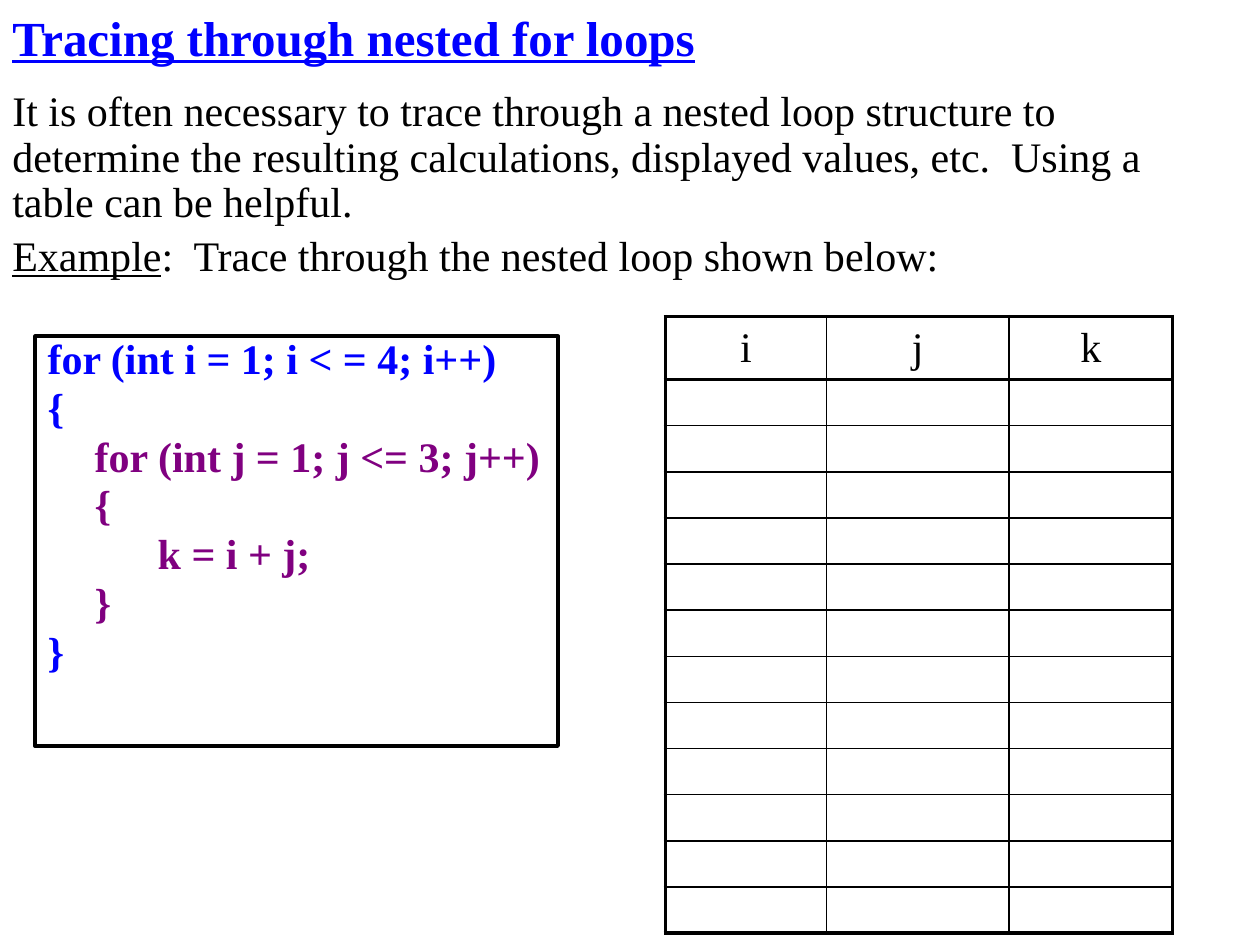
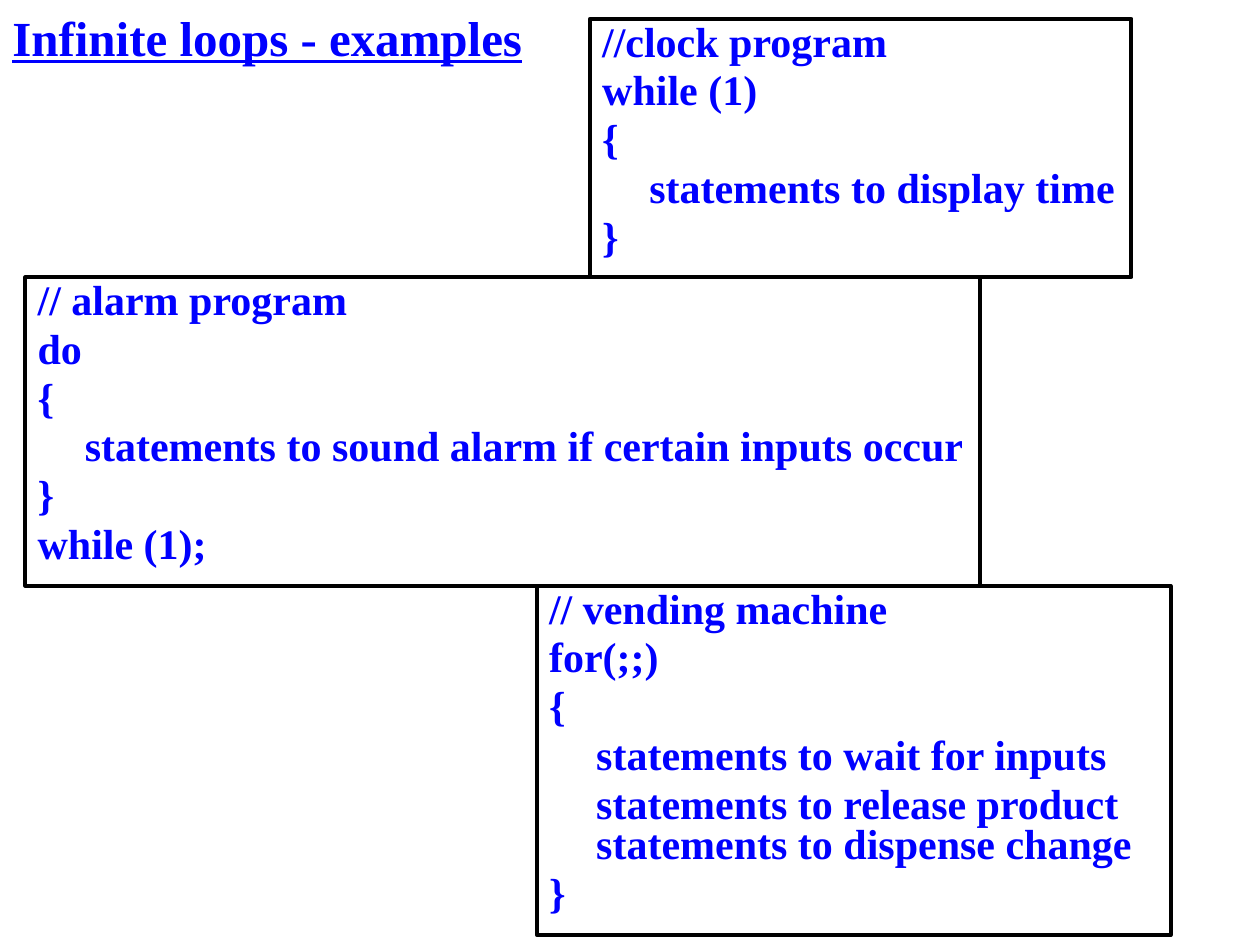
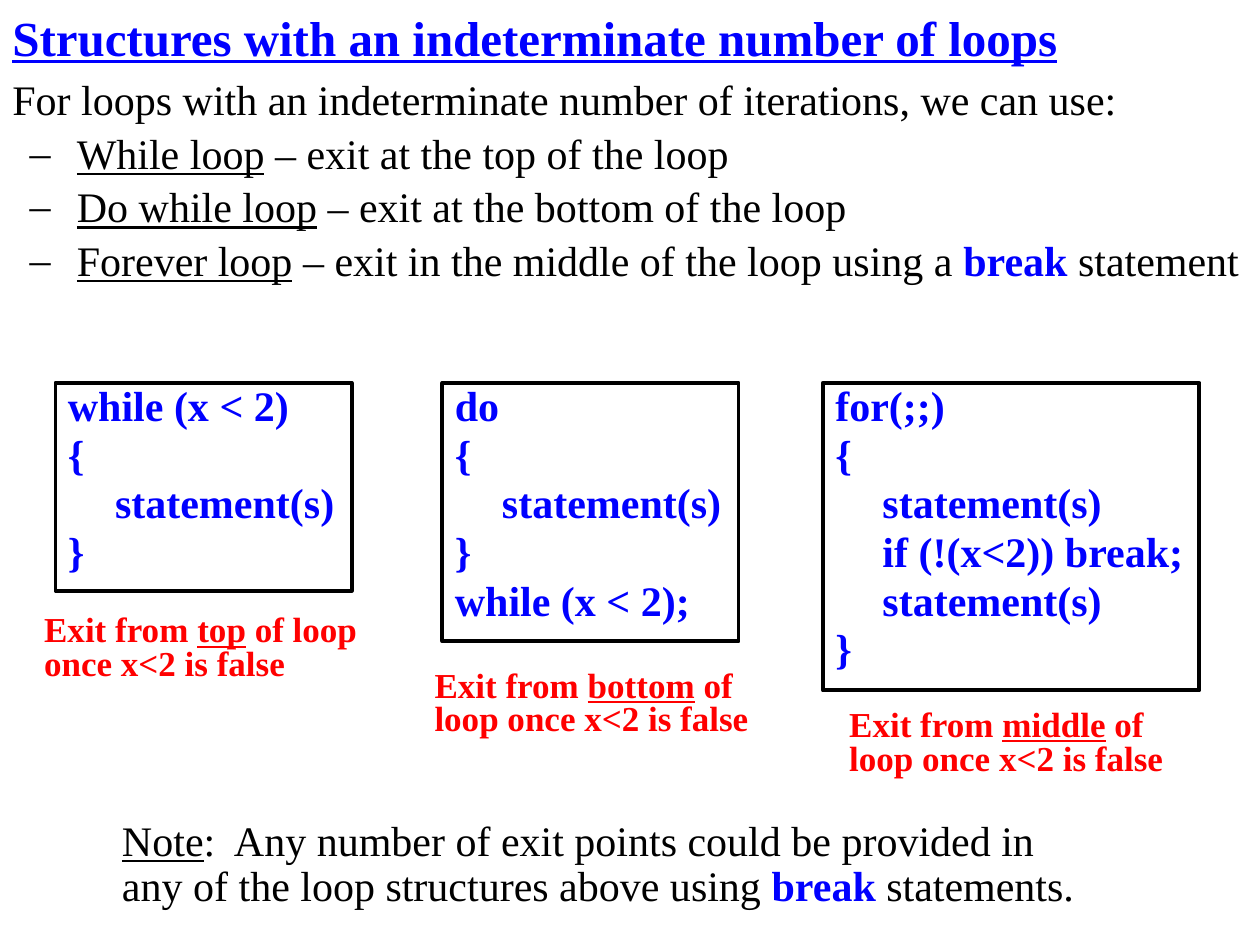
from dataclasses import dataclass

import pptx
import pptx.dml.color
import pptx.enum.shapes
import pptx.enum.text
import pptx.oxml
import pptx.oxml.ns
import pptx.slide
import pptx.table
import pptx.text.text
import pptx.util

Cm = pptx.util.Cm
Pt = pptx.util.Pt
RGB = pptx.dml.color.RGBColor
ANCHOR = pptx.enum.text.MSO_ANCHOR


@dataclass(frozen=True)
class Theme:
    font: str = "Times New Roman"
    ink: RGB = RGB(0x00, 0x00, 0x00)
    blue: RGB = RGB(0x00, 0x00, 0xFF)
    purple: RGB = RGB(0x80, 0x00, 0x80)
    red: RGB = RGB(0xFF, 0x00, 0x00)
    title_size: int = 28
    text_size: int = 24
    caption_size: int = 20
    thick: float = 2.25
    thin: float = 1
    code_indent: float = 0.95
    bullet_left: float = 1.3


THEME = Theme()


@dataclass(frozen=True)
class Box:
    left: float
    top: float
    width: float
    height: float

    def lengths(self) -> tuple:
        return Cm(self.left), Cm(self.top), Cm(self.width), Cm(self.height)


@dataclass(frozen=True)
class Style:
    size: int
    color: RGB
    bold: bool = False
    underline: bool = False
    line_spacing: float = 1.0
    space_share: float = 0.2


@dataclass(frozen=True)
class Span:
    text: str
    underline: bool = False
    keyword: bool = False


@dataclass(frozen=True)
class Line:
    spans: tuple[Span, ...]
    bullet: bool = False


@dataclass(frozen=True)
class CodeBox:
    box: Box
    lines: tuple[str, ...]
    inner: range = range(0)  # lines that belong to the inner loop


@dataclass(frozen=True)
class Caption:
    box: Box
    place: str


TITLE = Style(THEME.title_size, THEME.blue, bold=True, underline=True, space_share=0)
BODY = Style(THEME.text_size, THEME.ink, line_spacing=0.9)
CELL = Style(THEME.text_size, THEME.ink)
CODE = Style(THEME.text_size, THEME.blue, bold=True, line_spacing=0.8)
INNER_CODE = Style(THEME.text_size, THEME.purple, bold=True, line_spacing=0.8)
CAPTION = Style(THEME.caption_size, THEME.red, bold=True, line_spacing=0.8)


# Text helpers
def apply_style(paragraph: pptx.text.text._Paragraph, style: Style) -> None:
    font = paragraph.font
    font.name, font.size = THEME.font, Pt(style.size)
    font.bold, font.underline = style.bold, style.underline
    font.color.rgb = style.color
    paragraph.line_spacing = style.line_spacing
    paragraph.space_before = Pt(style.size * style.space_share)


def set_indent(paragraph: pptx.text.text._Paragraph, left: float, hanging: float) -> None:
    properties = paragraph._p.get_or_add_pPr()
    properties.set("marL", str(Cm(left)))
    properties.set("indent", str(-Cm(hanging)))


def add_dash(paragraph: pptx.text.text._Paragraph) -> None:
    set_indent(paragraph, THEME.bullet_left, THEME.code_indent)
    paragraph.level = 1
    namespace = pptx.oxml.ns.nsdecls("a")
    # Bullet marks stand before the default run properties
    defaults = paragraph._p.pPr.find(pptx.oxml.ns.qn("a:defRPr"))
    for mark in (f'<a:buFont {namespace} typeface="{THEME.font}"/>',
                 f'<a:buChar {namespace} char="–"/>'):
        defaults.addprevious(pptx.oxml.parse_xml(mark))


def next_paragraph(frame: pptx.text.text.TextFrame, index: int) -> pptx.text.text._Paragraph:
    return frame.add_paragraph() if index else frame.paragraphs[0]


def add_text(slide: pptx.slide.Slide, box: Box, lines: list[Line], style: Style,
             anchor: ANCHOR = ANCHOR.TOP) -> None:
    frame = slide.shapes.add_textbox(*box.lengths()).text_frame
    frame.word_wrap = True
    frame.vertical_anchor = anchor
    for index, line in enumerate(lines):
        paragraph = next_paragraph(frame, index)
        apply_style(paragraph, style)
        if line.bullet:
            add_dash(paragraph)
        for span in line.spans:
            run = paragraph.add_run()
            run.text = span.text
            if span.underline:
                run.font.underline = True
            if span.keyword:
                run.font.bold = True
                run.font.color.rgb = THEME.blue


def add_title(slide: pptx.slide.Slide, text: str, width: float) -> None:
    add_text(slide, Box(0, 0, width, 1.47), [Line((Span(text),))], TITLE, ANCHOR.MIDDLE)


def add_code(slide: pptx.slide.Slide, code: CodeBox) -> None:
    shape = slide.shapes.add_shape(pptx.enum.shapes.MSO_SHAPE.RECTANGLE, *code.box.lengths())
    shape.shadow.inherit = False
    shape.fill.background()
    shape.line.color.rgb = THEME.ink
    shape.line.width = Pt(THEME.thick)
    frame = shape.text_frame
    frame.word_wrap = True
    frame.vertical_anchor = ANCHOR.TOP
    frame.margin_right = 0
    for index, text in enumerate(code.lines):
        paragraph = next_paragraph(frame, index)
        paragraph.text = text
        paragraph.alignment = pptx.enum.text.PP_ALIGN.LEFT
        apply_style(paragraph, INNER_CODE if index in code.inner else CODE)
        set_indent(paragraph, THEME.code_indent, THEME.code_indent)


# Trace table
def set_borders(cell: pptx.table._Cell, widths: dict[str, float]) -> None:
    properties = cell._tc.get_or_add_tcPr()
    for side, width in widths.items():
        properties.append(pptx.oxml.parse_xml(
            f'<a:ln{side} {pptx.oxml.ns.nsdecls("a")} w="{Pt(width)}">'
            f'<a:solidFill><a:srgbClr val="{THEME.ink}"/></a:solidFill></a:ln{side}>'))


def add_trace_table(slide: pptx.slide.Slide, headings: str, blank_rows: int) -> None:
    column_widths, header_height, row_height = (3.25, 3.68, 3.3), 1.27, 0.93
    box = Box(13.41, 6.38, sum(column_widths), header_height + blank_rows * row_height)
    last_row, last_column = blank_rows, len(headings) - 1
    table = slide.shapes.add_table(last_row + 1, last_column + 1, *box.lengths()).table
    table.first_row = table.horz_banding = False
    for column, width in zip(table.columns, column_widths):
        column.width = Cm(width)
    for row_index, row in enumerate(table.rows):
        row.height = Cm(row_height if row_index else header_height)
        for column_index, cell in enumerate(row.cells):
            thick_sides = {"L": column_index == 0, "R": column_index == last_column,
                           "T": row_index <= 1, "B": row_index in (0, last_row)}
            set_borders(cell, {side: THEME.thick if thick else THEME.thin
                               for side, thick in thick_sides.items()})
            cell.fill.background()
            cell.margin_top = cell.margin_bottom = 0
            if row_index == 0:
                cell.vertical_anchor = ANCHOR.MIDDLE
                paragraph = cell.text_frame.paragraphs[0]
                paragraph.text = headings[column_index]
                paragraph.alignment = pptx.enum.text.PP_ALIGN.CENTER
                apply_style(paragraph, CELL)


# Slides
def build_tracing(slide: pptx.slide.Slide) -> None:
    add_text(slide, Box(0, 1.7, 25, 4.11), [
        Line((Span("It is often necessary to trace through a nested loop structure to "
                   "determine the resulting calculations, displayed values, etc.  "
                   "Using a table can be helpful."),)),
        Line((Span("Example", underline=True),
              Span(":  Trace through the nested loop shown below:"))),
    ], BODY)
    add_title(slide, "Tracing through nested for loops", 15.47)
    add_code(slide, CodeBox(Box(0.71, 6.78, 10.54, 8.26), (
        "for (int i = 1; i < = 4; i++)", "{", "\tfor (int j = 1; j <= 3; j++)", "\t{",
        "\t\tk = i + j;", "\t}", "}"), inner=range(2, 6)))
    add_trace_table(slide, "ijk", blank_rows=12)


def build_infinite(slide: pptx.slide.Slide) -> None:
    add_title(slide, "Infinite loops - examples", 17.75)
    for code in (
        CodeBox(Box(11.89, 0.38, 10.92, 5.21), (
            "//clock program", "while (1)", "{", "\tstatements to display time", "}")),
        CodeBox(Box(0.51, 5.59, 19.25, 6.22), (
            "// alarm program", "do", "{",
            "\tstatements to sound alarm if certain inputs occur", "}", "while (1);")),
        CodeBox(Box(10.82, 11.81, 12.78, 7.04), (
            "// vending machine", "for(;;)", "{", "\tstatements to wait for inputs",
            "\tstatements to release product statements to dispense change", "}")),
    ):
        add_code(slide, code)


def build_indeterminate(slide: pptx.slide.Slide) -> None:
    keyword = Span("break", keyword=True)
    add_title(slide, "Structures with an indeterminate number of loops", 25.4)
    add_text(slide, Box(0, 1.47, 25.4, 4.57), [
        Line((Span("For loops with an indeterminate number of iterations, we can use:"),)),
        Line((Span("While loop", underline=True),
              Span(" – exit at the top of the loop")), bullet=True),
        Line((Span("Do while loop", underline=True),
              Span(" – exit at the bottom of the loop")), bullet=True),
        Line((Span("Forever loop", underline=True),
              Span(" – exit in the middle of the loop using a "),
              keyword, Span(" statement")), bullet=True),
    ], BODY)

    code_top = 7.72
    for code in (
        CodeBox(Box(1.12, code_top, 5.97, 4.19), (
            "while (x < 2)", "{", "\tstatement(s)", "}")),
        CodeBox(Box(8.92, code_top, 5.97, 5.21), (
            "do", "{", "\tstatement(s)", "}", "while (x < 2);")),
        CodeBox(Box(16.59, code_top, 7.59, 6.2), (
            "for(;;)", "{", "\tstatement(s)", "\tif (!(x<2)) break;", "\tstatement(s)", "}")),
    ):
        add_code(slide, code)

    for caption in (
        Caption(Box(0.64, 12.29, 6.93, 1.63), "top"),
        Caption(Box(8.51, 13.41, 7.32, 1.63), "bottom"),
        Caption(Box(16.87, 14.2, 7.32, 1.63), "middle"),
    ):
        add_text(slide, caption.box, [Line((
            Span("Exit from "), Span(caption.place, underline=True),
            Span(" of loop once x<2 is false")))], CAPTION)

    add_text(slide, Box(2.21, 16.41, 20.24, 2.08), [Line((
        Span("Note", underline=True),
        Span(":  Any number of exit points could be provided in any of the loop "
             "structures above using "),
        keyword, Span(" statements.")))], BODY)


def main() -> None:
    presentation = pptx.Presentation()
    presentation.slide_width, presentation.slide_height = Cm(25.4), Cm(19.05)
    blank_layout = presentation.slide_layouts[6]
    for build in (build_tracing, build_infinite, build_indeterminate):
        build(presentation.slides.add_slide(blank_layout))
    presentation.save("out.pptx")


if __name__ == "__main__":
    main()
